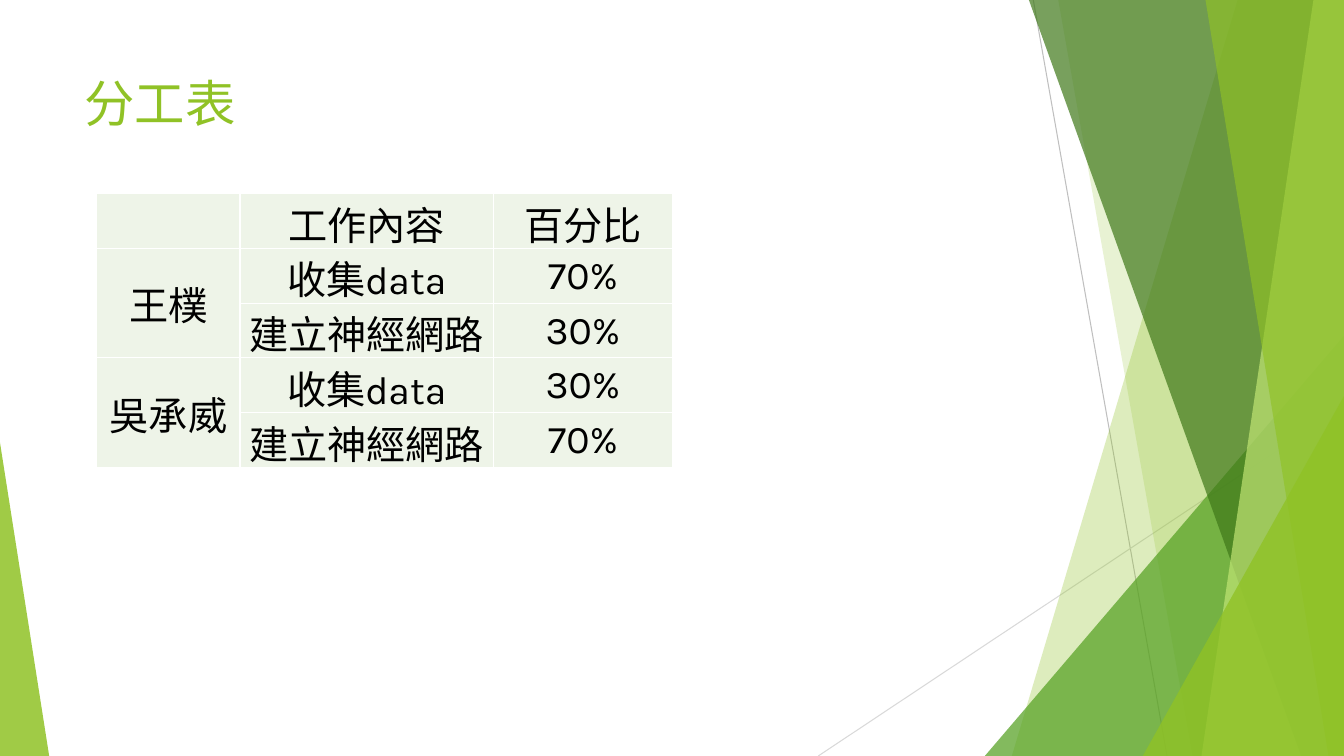
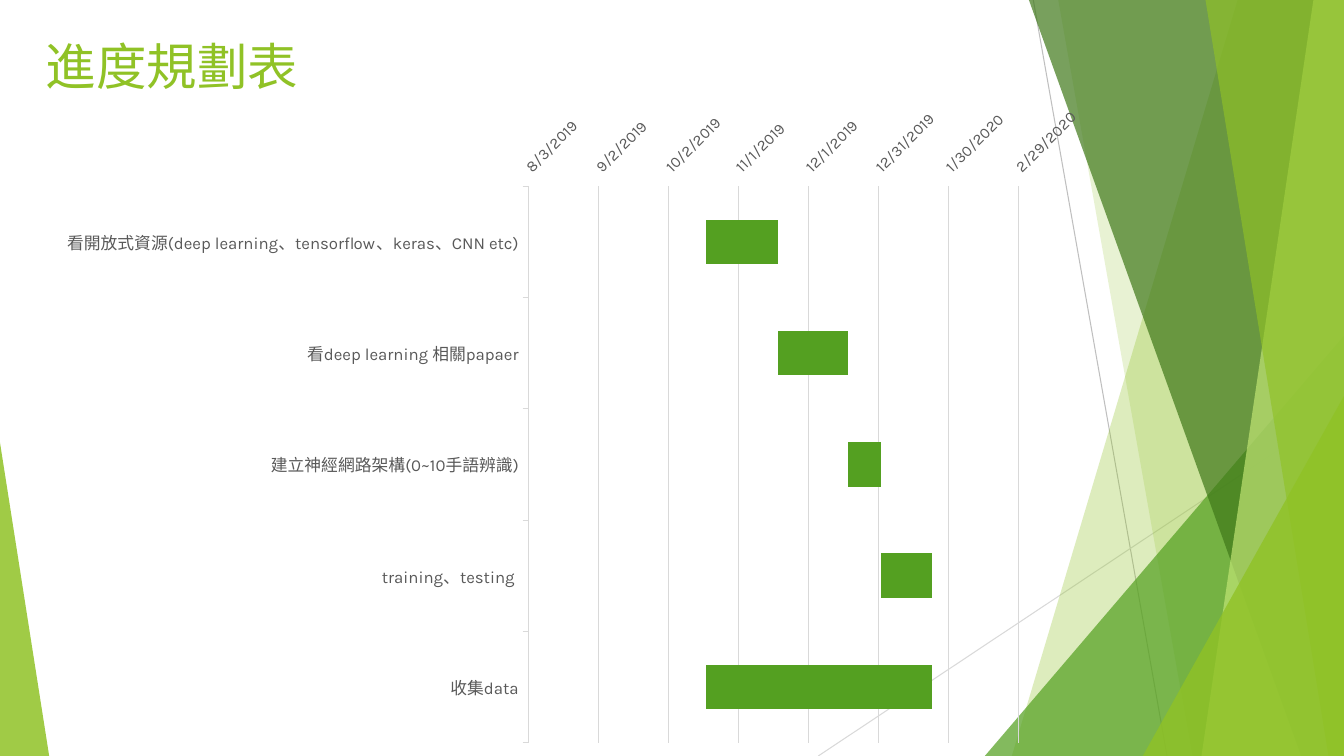
"""Build a work division slide and a schedule slide over a shared faceted green backdrop."""
import pptx
import pptx.chart.data
import pptx.dml.color
import pptx.enum.chart
import pptx.enum.shapes
import pptx.enum.text
import pptx.oxml
import pptx.oxml.ns
import pptx.util

Cm, Pt = pptx.util.Cm, pptx.util.Pt
XL = pptx.enum.chart
WIDTH, HEIGHT = 33.87, 19.05
FONT = "Karla"
GREEN, DARK, DEEP, PALE = "90C226", "54A021", "3F7819", "C0E474"
GRID, GREY = "D9D9D9", "595959"

RULES = [
    ((26.04, 0), (29.41, HEIGHT), "BFBFBF"),
    ((WIDTH, 10.24), (20.62, HEIGHT), GRID),
]
FACETS = [
    ("band", (31.19, 25.5), GREEN, 30),
    ("band", (26.67, 30.05), GREEN, 20),
    ("triangle", (24.82, 8.46, 9.05, 1), DARK, 72),
    ("band", (25.93, 32.79), DEEP, 70),
    ("band", (33.1, 30.28), PALE, 70),
    ("band", (30.38, 33.48), GREEN, 65),
    ("triangle", (28.8, 9.98, 5.07, 1), GREEN, 80),
    ("triangle", (0, 11.15, 1.24, 0), GREEN, 85),
]

HEADER = ["", "工作內容", "百分比"]
MEMBERS = [
    ("王樸", [("收集data", "70%"), ("建立神經網路", "30%")]),
    ("吳承威", [("收集data", "30%"), ("建立神經網路", "70%")]),
]
TABLE_AT = (2.44, 4.88)
COLUMNS = [3.61, 6.38, 4.52]
ROW_HEIGHT = 1.38
CELL_FORMAT = {
    "vertical_anchor": pptx.enum.text.MSO_ANCHOR.MIDDLE,
    "margin_left": Cm(0.03), "margin_right": Cm(0.03),
    "margin_top": Cm(0.03), "margin_bottom": 0,
}

AXIS_START, AXIS_STEP, AXIS_STEPS = 43680, 30, 7
TASKS = [
    ("看開放式資源(deep learning、tensorflow、keras、CNN etc)", 43756, 31),
    ("看deep learning 相關papaer", 43787, 30),
    ("建立神經網路架構(0~10手語辨識)", 43817, 14),
    ("training、testing ", 43831, 22),
    ("收集data", 43756, 97),
]
CHART_BOX = (0.43, 2.36, 27.43, 16.69)
PLOT = {"x": 0.47, "y": 0.14, "w": 0.45, "h": 0.84}
VALUE_AXIS = {
    "minimum_scale": AXIS_START,
    "maximum_scale": AXIS_START + AXIS_STEP * AXIS_STEPS,
    "major_unit": AXIS_STEP,
    "has_major_gridlines": True,
    "major_tick_mark": XL.XL_TICK_MARK.OUTSIDE,
}
CATEGORY_AXIS = {
    "reverse_order": True,
    "has_major_gridlines": False,
    "major_tick_mark": XL.XL_TICK_MARK.OUTSIDE,
}


def rgb(value):
    return pptx.dml.color.RGBColor.from_string(value)


def assign(obj, values):
    for name, value in values.items():
        setattr(obj, name, value)


def paint(fill, color):
    fill.solid()
    fill.fore_color.rgb = rgb(color)


def style_line(line, color, width=0.75):
    paint(line.fill, color)
    line.width = Pt(width)


def style_font(font, size, color):
    assign(font, {"name": FONT, "size": Pt(size)})
    font.color.rgb = rgb(color)


def xml(tag, **attributes):
    element = pptx.oxml.parse_xml(f"<{tag} {pptx.oxml.ns.nsdecls(tag.split(':')[0])}/>")
    for name, value in attributes.items():
        element.set(name, str(value))
    return element


def add_facet(s, kind, geometry, color, opacity):
    if kind == "band":
        top_x, bottom_x = geometry
        builder = s.shapes.build_freeform(Cm(top_x), 0)
        corners = [(WIDTH, 0), (WIDTH, HEIGHT), (bottom_x, HEIGHT)]
        builder.add_line_segments([(Cm(x), Cm(y)) for x, y in corners], close=True)
        shape = builder.convert_to_shape()
    else:
        left, top, width, peak = geometry
        shape = s.shapes.add_shape(
            pptx.enum.shapes.MSO_SHAPE.ISOSCELES_TRIANGLE,
            Cm(left), Cm(top), Cm(width), Cm(HEIGHT - top))
        shape.adjustments[0] = peak
    shape.shadow.inherit = False
    shape.line.fill.background()
    paint(shape.fill, color)
    tint = shape.element.xpath("./p:spPr/a:solidFill/a:srgbClr")[0]
    tint.append(xml("a:alpha", val=opacity * 1000))


def add_slide(prs, title, left, top):
    s = prs.slides.add_slide(prs.slide_layouts[6])
    for start, end, color in RULES:
        rule = s.shapes.add_connector(
            pptx.enum.shapes.MSO_CONNECTOR.STRAIGHT, *map(Cm, start + end))
        style_line(rule.line, color)
        rule.element.spPr.append(xml("a:effectLst"))
    for facet in FACETS:
        add_facet(s, *facet)
    tf = s.shapes.add_textbox(Cm(left), Cm(top), Cm(23.88), Cm(3.66)).text_frame
    tf.word_wrap = True
    r = tf.paragraphs[0].add_run()
    r.text = title
    style_font(r.font, 36, GREEN)
    return s


def fill_cell(cell, text):
    assign(cell, CELL_FORMAT)
    properties = cell._tc.get_or_add_tcPr()
    for side in "LRTB":
        border = xml(f"a:ln{side}", w=Pt(1))
        solid = xml("a:solidFill")
        solid.append(xml("a:srgbClr", val="FFFFFF"))
        border.append(solid)
        properties.append(border)
    paint(cell.fill, "EEF4E8")
    if text:
        p = cell.text_frame.paragraphs[0]
        p.alignment = pptx.enum.text.PP_ALIGN.CENTER
        r = p.add_run()
        r.text = text
        style_font(r.font, 28, "000000")


def add_work_table(s):
    rows = [HEADER]
    spans = []
    for name, jobs in MEMBERS:
        spans.append((len(rows), len(rows) + len(jobs) - 1))
        rows += [[name if i == 0 else "", *job] for i, job in enumerate(jobs)]
    size = (sum(COLUMNS), ROW_HEIGHT * len(rows))
    table = s.shapes.add_table(len(rows), len(COLUMNS), *map(Cm, TABLE_AT + size)).table
    assign(table, {"first_row": False, "horz_banding": False})
    for column, width in zip(table.columns, COLUMNS):
        column.width = Cm(width)
    for i, row in enumerate(rows):
        table.rows[i].height = Cm(ROW_HEIGHT)
        for j, text in enumerate(row):
            fill_cell(table.cell(i, j), text)
    for first, last in spans:
        table.cell(first, 0).merge(table.cell(last, 0))


def place_plot(chart):
    plot_area = chart.element.xpath(".//c:plotArea")[0]
    for old in plot_area.xpath("./c:layout"):
        plot_area.remove(old)
    manual = xml("c:manualLayout")
    manual.append(xml("c:layoutTarget", val="inner"))
    for side in "xy":
        manual.append(xml(f"c:{side}Mode", val="edge"))
    for name, share in PLOT.items():
        manual.append(xml(f"c:{name}", val=share))
    layout = xml("c:layout")
    layout.append(manual)
    plot_area.insert(0, layout)


def add_schedule(s):
    names, starts, days = zip(*TASKS)
    data = pptx.chart.data.CategoryChartData()
    data.categories = names
    data.add_series("Series 1", starts)
    data.add_series("Series 2", days)
    chart = s.shapes.add_chart(
        XL.XL_CHART_TYPE.BAR_STACKED, *map(Cm, CHART_BOX), data).chart
    assign(chart, {"has_legend": False, "has_title": False})
    style_font(chart.font, 10, "000000")
    plot = chart.plots[0]
    assign(plot, {"gap_width": 150, "overlap": 100, "vary_by_categories": False})
    offset, duration = plot.series
    offset.format.fill.background()
    paint(duration.format.fill, DARK)
    dates, tasks = chart.value_axis, chart.category_axis
    assign(dates, VALUE_AXIS)
    assign(tasks, CATEGORY_AXIS)
    style_font(dates.tick_labels.font, 11, GREY)
    style_font(tasks.tick_labels.font, 12, GREY)
    assign(dates.tick_labels, {"number_format": "m/d/yyyy", "number_format_is_linked": False})
    dates.format.line.fill.background()
    style_line(dates.major_gridlines.format.line, GRID)
    style_line(tasks.format.line, GRID)
    chart.element.xpath(".//c:valAx/c:txPr/a:bodyPr")[0].set("rot", str(-45 * 60000))
    place_plot(chart)


def main():
    prs = pptx.Presentation()
    assign(prs, {"slide_width": Cm(WIDTH), "slide_height": Cm(HEIGHT)})
    add_work_table(add_slide(prs, "分工表", 1.88, 1.7))
    add_schedule(add_slide(prs, "進度規劃表", 0.91, 0.76))
    prs.save("out.pptx")


if __name__ == "__main__":
    main()
